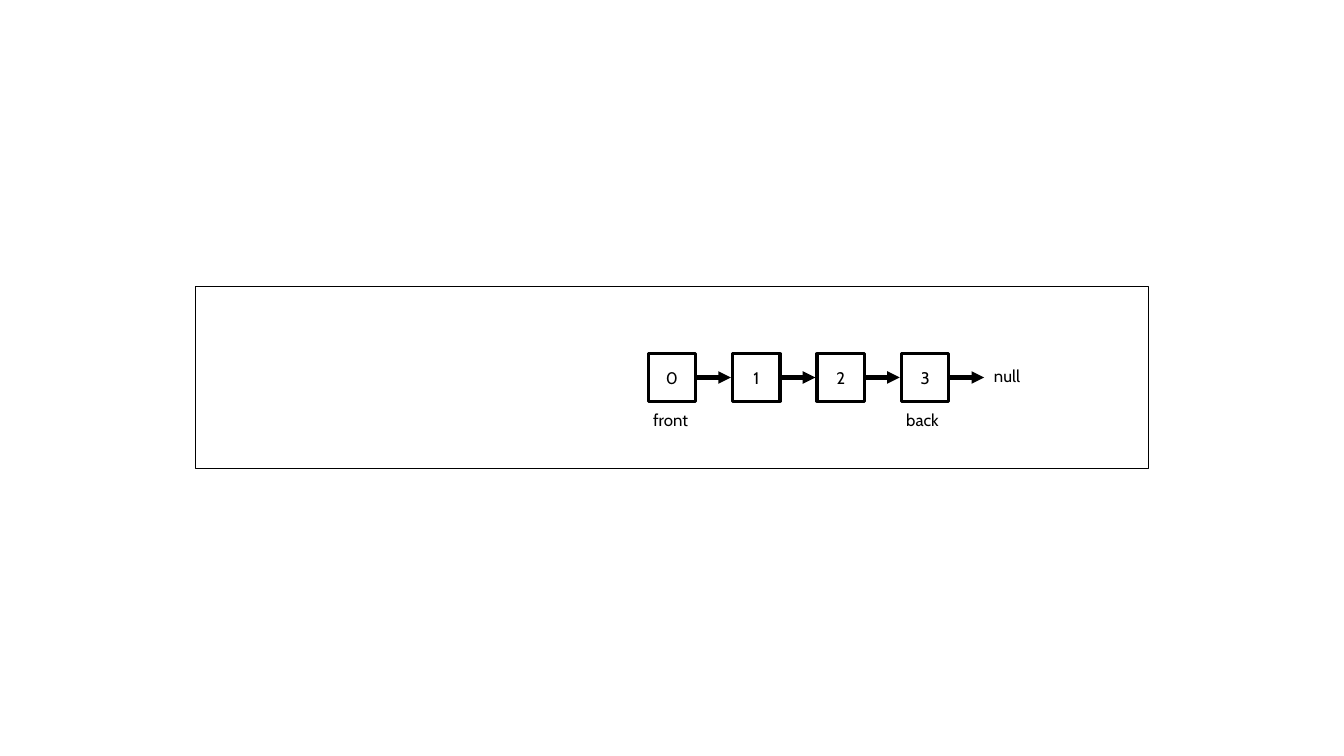
"""Build a slide showing a linked list of four nodes that ends in null."""
from lxml.etree import SubElement
from pptx import Presentation
from pptx.dml.color import RGBColor
from pptx.enum.shapes import MSO_CONNECTOR, MSO_SHAPE
from pptx.enum.text import MSO_ANCHOR, PP_ALIGN
from pptx.oxml.ns import qn
from pptx.util import Inches, Pt

NODES = ["0", "1", "2", "3"]
LABELS = [
    ("null", 9.76, 3.58, 0.49),
    ("front", 6.38, 4.02, 0.58),
    ("back", 8.89, 4.02, 0.56),
]
BLACK = RGBColor(0, 0, 0)
WHITE = RGBColor(255, 255, 255)
FONT = "Cabin"
NODE_LEFT, NODE_TOP, NODE_SIZE, NODE_STEP = 6.43, 3.51, 0.47, 0.837
ARROW_LENGTH = 0.35
LABEL_HEIGHT = 0.3


def write(shape, text, align):
    paragraph = shape.text_frame.paragraphs[0]
    paragraph.text = text
    paragraph.alignment = align
    paragraph.font.name = FONT
    paragraph.font.size = Pt(12)
    paragraph.font.color.rgb = BLACK


def add_box(slide, left, top, width, height, line_width):
    box = slide.shapes.add_shape(
        MSO_SHAPE.RECTANGLE, Inches(left), Inches(top), Inches(width), Inches(height)
    )
    box.shadow.inherit = False
    box.fill.solid()
    box.fill.fore_color.rgb = WHITE
    box.line.color.rgb = BLACK
    box.line.width = Pt(line_width)
    return box


def add_node(slide, left, text):
    node = add_box(slide, left, NODE_TOP, NODE_SIZE, NODE_SIZE, 2.25)
    node.text_frame.vertical_anchor = MSO_ANCHOR.MIDDLE
    write(node, text, PP_ALIGN.CENTER)


def add_arrow(slide, left):
    middle = Inches(NODE_TOP + NODE_SIZE / 2)
    arrow = slide.shapes.add_connector(
        MSO_CONNECTOR.STRAIGHT, Inches(left), middle, Inches(left + ARROW_LENGTH), middle
    )
    arrow.line.color.rgb = BLACK
    arrow.line.width = Pt(3)
    SubElement(arrow.line._get_or_add_ln(), qn("a:tailEnd"), type="triangle")
    SubElement(arrow._element.spPr, qn("a:effectLst"))


def add_label(slide, text, left, top, width):
    label = slide.shapes.add_textbox(
        Inches(left), Inches(top), Inches(width), Inches(LABEL_HEIGHT)
    )
    label.text_frame.word_wrap = False
    write(label, text, PP_ALIGN.LEFT)


def main():
    presentation = Presentation()
    presentation.slide_width = Inches(13.33)
    presentation.slide_height = Inches(7.5)
    slide = presentation.slides.add_slide(presentation.slide_layouts[6])
    add_box(slide, 1.94, 2.84, 9.45, 1.81, 1)
    for index, text in enumerate(NODES):
        left = NODE_LEFT + index * NODE_STEP
        add_node(slide, left, text)
        add_arrow(slide, left + NODE_SIZE)
    for label in LABELS:
        add_label(slide, *label)
    presentation.save("out.pptx")


if __name__ == "__main__":
    main()
